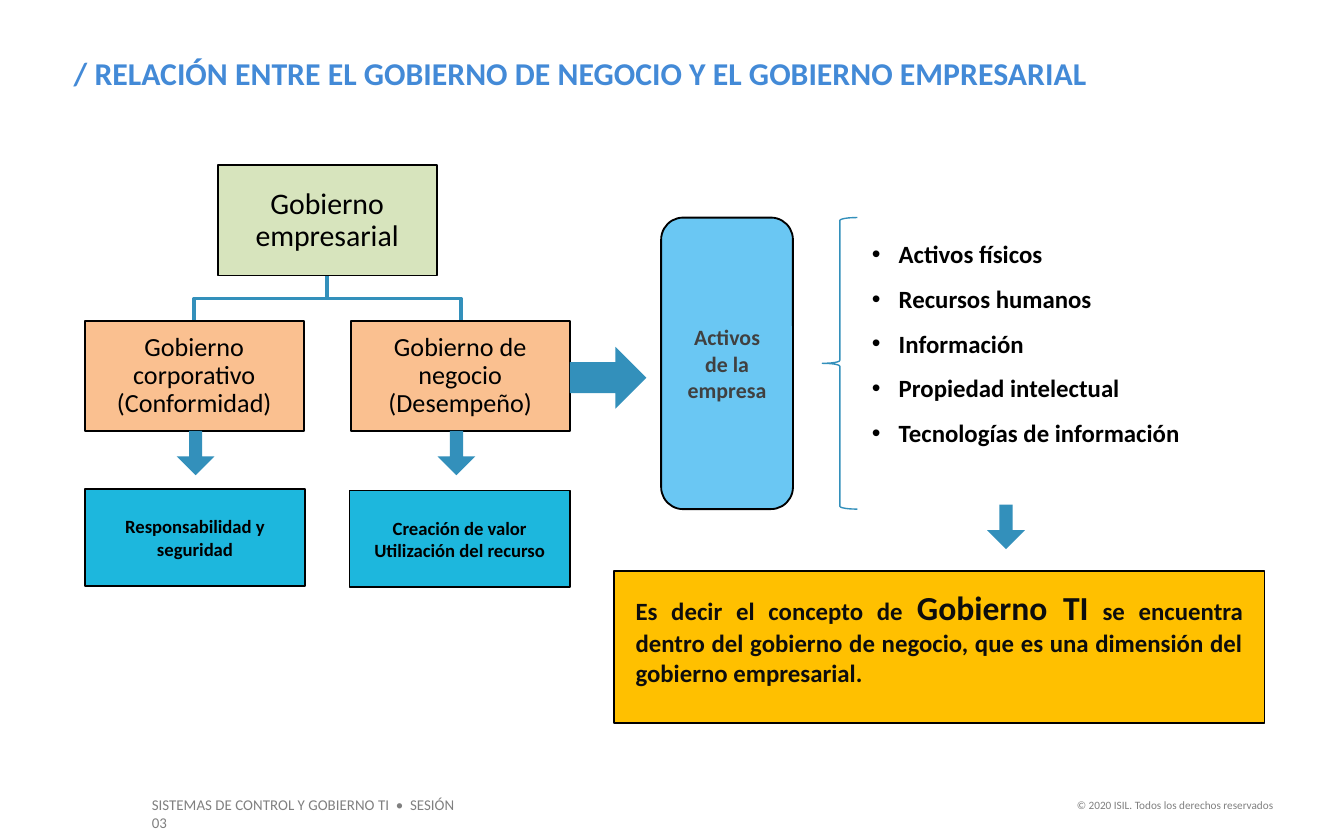
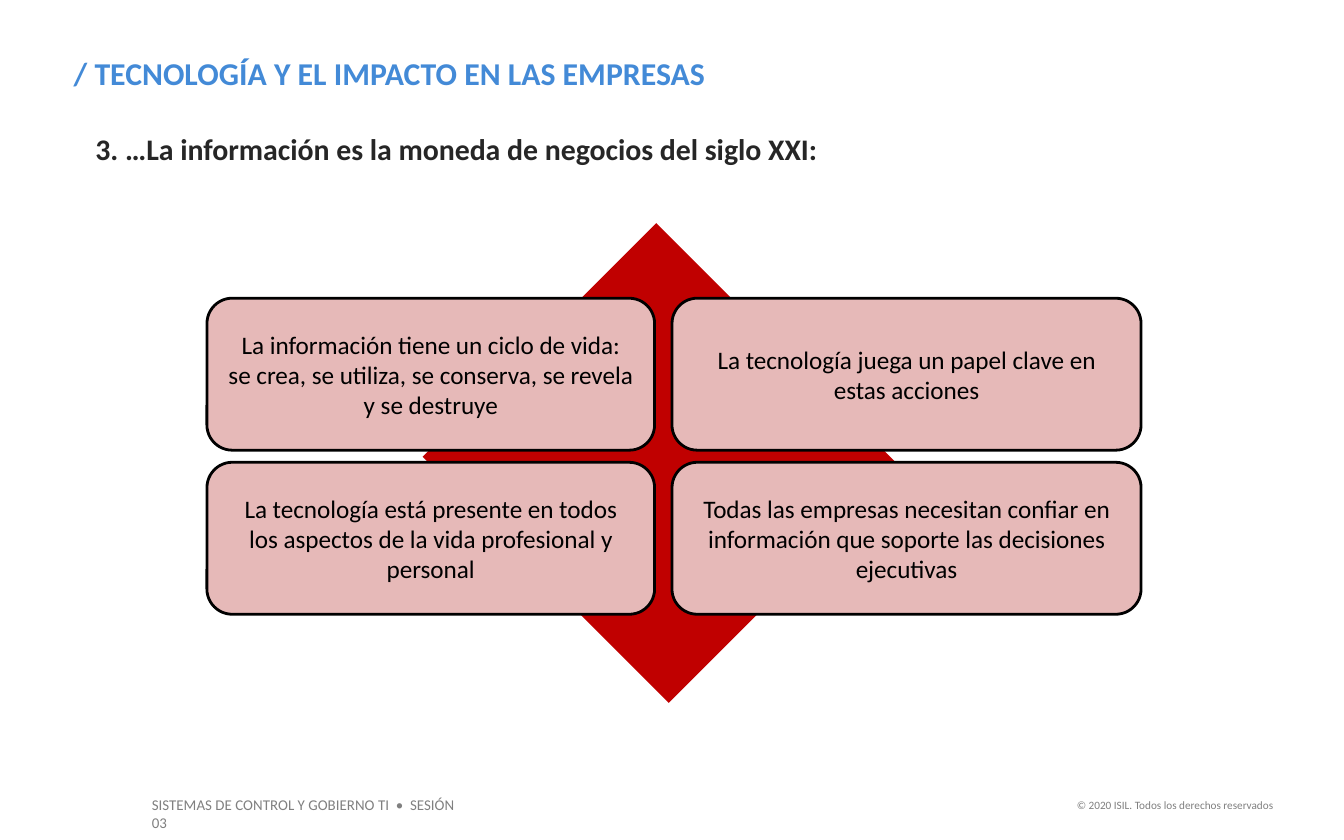
from lxml import etree
from pptx import Presentation
from pptx.dml.color import RGBColor
from pptx.enum.shapes import MSO_SHAPE
from pptx.enum.text import MSO_ANCHOR, PP_ALIGN
from pptx.oxml.ns import qn
from pptx.util import Pt

RECT = MSO_SHAPE.RECTANGLE
ROUNDED = MSO_SHAPE.ROUNDED_RECTANGLE
ARROW = MSO_SHAPE.RIGHT_ARROW
BRACE = MSO_SHAPE.LEFT_BRACE
TOP, MIDDLE = MSO_ANCHOR.TOP, MSO_ANCHOR.MIDDLE
LEFT, CENTER, RIGHT, JUSTIFY = PP_ALIGN.LEFT, PP_ALIGN.CENTER, PP_ALIGN.RIGHT, PP_ALIGN.JUSTIFY

FONT = "Calibri"
BLACK = RGBColor(0x00, 0x00, 0x00)
INK = RGBColor(0x0D, 0x0D, 0x0D)
CHARCOAL = RGBColor(0x26, 0x26, 0x26)
DARK_GRAY = RGBColor(0x40, 0x40, 0x40)
GRAY = RGBColor(0x80, 0x80, 0x80)
TITLE_BLUE = RGBColor(0x43, 0x8A, 0xD7)
ARROW_BLUE = RGBColor(0x33, 0x90, 0xBB)
SKY = RGBColor(0x6A, 0xC7, 0xF3)
CYAN = RGBColor(0x1D, 0xB7, 0xDD)
GREEN = RGBColor(0xD7, 0xE4, 0xBD)
ORANGE = RGBColor(0xFA, 0xC0, 0x90)
AMBER = RGBColor(0xFF, 0xC0, 0x00)
RED = RGBColor(0xC0, 0x00, 0x00)
PINK = RGBColor(0xE6, 0xB9, 0xB8)


def add_figure(slide, kind, box, fill=None, line=None, width=1, rotation=0):
    shape = slide.shapes.add_shape(kind, *map(Pt, box))
    shape.shadow.inherit = False
    shape.rotation = rotation
    for part, color in ((shape.fill, fill), (shape.line.fill, line)):
        if color is None:
            part.background()
        else:
            part.solid()
            part.fore_color.rgb = color
    if line is not None:
        shape.line.width = Pt(width)
    return shape


def write(shape, text, size, color, bold=False, align=LEFT, anchor=TOP,
          insets=(7.2, 3.6, 7.2, 3.6), spacing=1.0, margin=0, bullet=None):
    frame = shape.text_frame
    frame.word_wrap = True
    frame.vertical_anchor = anchor
    frame.margin_left, frame.margin_top, frame.margin_right, frame.margin_bottom = map(Pt, insets)
    frame.text = text
    for paragraph in frame.paragraphs:
        paragraph.alignment = align
        paragraph.line_spacing = spacing
        properties = paragraph._p.get_or_add_pPr()
        if margin:
            properties.set("marL", str(Pt(margin)))
        if bullet:
            properties.set("indent", str(-Pt(margin)))
            etree.SubElement(properties, qn("a:buFont")).set("typeface", "Arial")
            etree.SubElement(properties, qn("a:buChar")).set("char", bullet)
        paragraph.font.name = FONT
        paragraph.font.size = Pt(size)
        paragraph.font.bold = bold
        paragraph.font.color.rgb = color


presentation = Presentation()
presentation.slide_width = Pt(720)
presentation.slide_height = Pt(450)

slides = []
for title in ("/ RELACIÓN ENTRE EL GOBIERNO DE NEGOCIO Y EL GOBIERNO EMPRESARIAL",
              "/ TECNOLOGÍA Y EL IMPACTO EN LAS EMPRESAS"):
    slide = presentation.slides.add_slide(presentation.slide_layouts[6])
    slides.append(slide)
    for text, box, size, color, bold, align in (
        ("SISTEMAS DE CONTROL Y GOBIERNO TI  •  SESIÓN 03", (74.2, 422.6, 186.5, 17.3), 8, GRAY, False, LEFT),
        ("© 2020 ISIL. Todos los derechos reservados", (567.4, 424, 121.7, 14.4), 6, GRAY, False, RIGHT),
        (title, (32.4, 25.2, 567.4, 28), 17, TITLE_BLUE, True, LEFT),
    ):
        write(slide.shapes.add_textbox(*map(Pt, box)), text, size, color, bold, align)

governance, technology = slides

TRUNK_X, TRUNK_TOP, BRANCH_Y, BRANCH_BOTTOM = 175.2, 147, 160, 172
for branch_x in (246.6, 104.1):
    builder = governance.shapes.build_freeform(TRUNK_X, TRUNK_TOP, scale=12700)
    builder.add_line_segments(
        [(TRUNK_X, BRANCH_Y), (branch_x, BRANCH_Y), (branch_x, BRANCH_BOTTOM)], close=False)
    branch = builder.convert_to_shape()
    branch.shadow.inherit = False
    branch.fill.background()
    branch.line.color.rgb = ARROW_BLUE
    branch.line.width = Pt(2)

THIN = (0.7, 0.7, 0.7, 0.7)
for text, box, fill, size, bold, spacing in (
    ("Gobierno empresarial", (116.6, 88.6, 117.4, 59), GREEN, 16, False, 0.9),
    ("Gobierno corporativo (Conformidad)", (45.4, 172, 117.4, 59), ORANGE, 14, False, 0.9),
    ("Gobierno de negocio (Desempeño)", (187.9, 172, 117.4, 59), ORANGE, 14, False, 0.9),
    ("Responsabilidad y\nseguridad", (45.4, 262, 118, 51.8), CYAN, 10, True, 1.0),
    ("Creación de valor\nUtilización del recurso", (187.2, 262.8, 118, 51.8), CYAN, 10, True, 1.0),
):
    write(add_figure(governance, RECT, box, fill, BLACK), text, size, BLACK, bold,
          CENTER, MIDDLE, THIN, spacing)

for left, top in ((92.9, 232.6), (232.6, 232.6), (527, 272.2)):
    arrow = add_figure(governance, ARROW, (left, top, 23.8, 20.2), ARROW_BLUE, rotation=90)
    arrow.adjustments[0] = 0.35
add_figure(governance, ARROW, (305.3, 185.8, 41, 33.1), ARROW_BLUE)

assets = add_figure(governance, ROUNDED, (354.2, 116.6, 70.6, 156.2), SKY, BLACK)
write(assets, "Activos de la empresa", 11.7, DARK_GRAY, True, CENTER, MIDDLE)
add_figure(governance, BRACE, (440.6, 116.6, 18.7, 156.2), line=ARROW_BLUE, width=0.75)
asset_list = governance.shapes.add_textbox(Pt(460), Pt(116.6), Pt(191.5), Pt(128.2))
write(asset_list,
      "Activos físicos\nRecursos humanos\nInformación\nPropiedad intelectual\nTecnologías de información",
      13.3, BLACK, True, spacing=1.5, margin=14.4, bullet="•")

conclusion = add_figure(governance, RECT, (329, 306, 348.5, 81.4), AMBER, BLACK)
write(conclusion, "", 13.3, INK, True, JUSTIFY, MIDDLE, (11.5, 0.7, 11.5, 11.5))
for text, size in (
    ("Es decir el concepto de ", 13.3),
    ("Gobierno TI", 18),
    (" se encuentra dentro del gobierno de negocio, que es una dimensión del gobierno empresarial.", 13.3),
):
    run = conclusion.text_frame.paragraphs[0].add_run()
    run.text = text
    run.font.size = Pt(size)

heading = technology.shapes.add_textbox(Pt(36.7), Pt(69.8), Pt(440), Pt(19.4))
write(heading, "3. …La información es la moneda de negocios del siglo XXI:", 16, CHARCOAL, True,
      insets=(0, 0, 0, 0), margin=14.4)

add_figure(technology, RECT, (266.4, 154.8, 177.1, 186.5), RED, rotation=315)
COLUMNS = ((110.9, 239.8), (360, 251.3))
CARD_ROWS = (
    (159.8, ("La información tiene un ciclo de vida: se crea, se utiliza, se conserva, se revela y se destruye",
             "La tecnología juega un papel clave en estas acciones")),
    (247.7, ("La tecnología está presente en todos los aspectos de la vida profesional y personal",
             "Todas las empresas necesitan confiar en información que soporte las decisiones ejecutivas")),
)
for top, texts in CARD_ROWS:
    for (left, width), text in zip(COLUMNS, texts):
        card = add_figure(technology, ROUNDED, (left, top, width, 81.4), PINK, BLACK, 1.5)
        write(card, text, 13.5, BLACK, align=CENTER, anchor=MIDDLE)

presentation.save("out.pptx")
